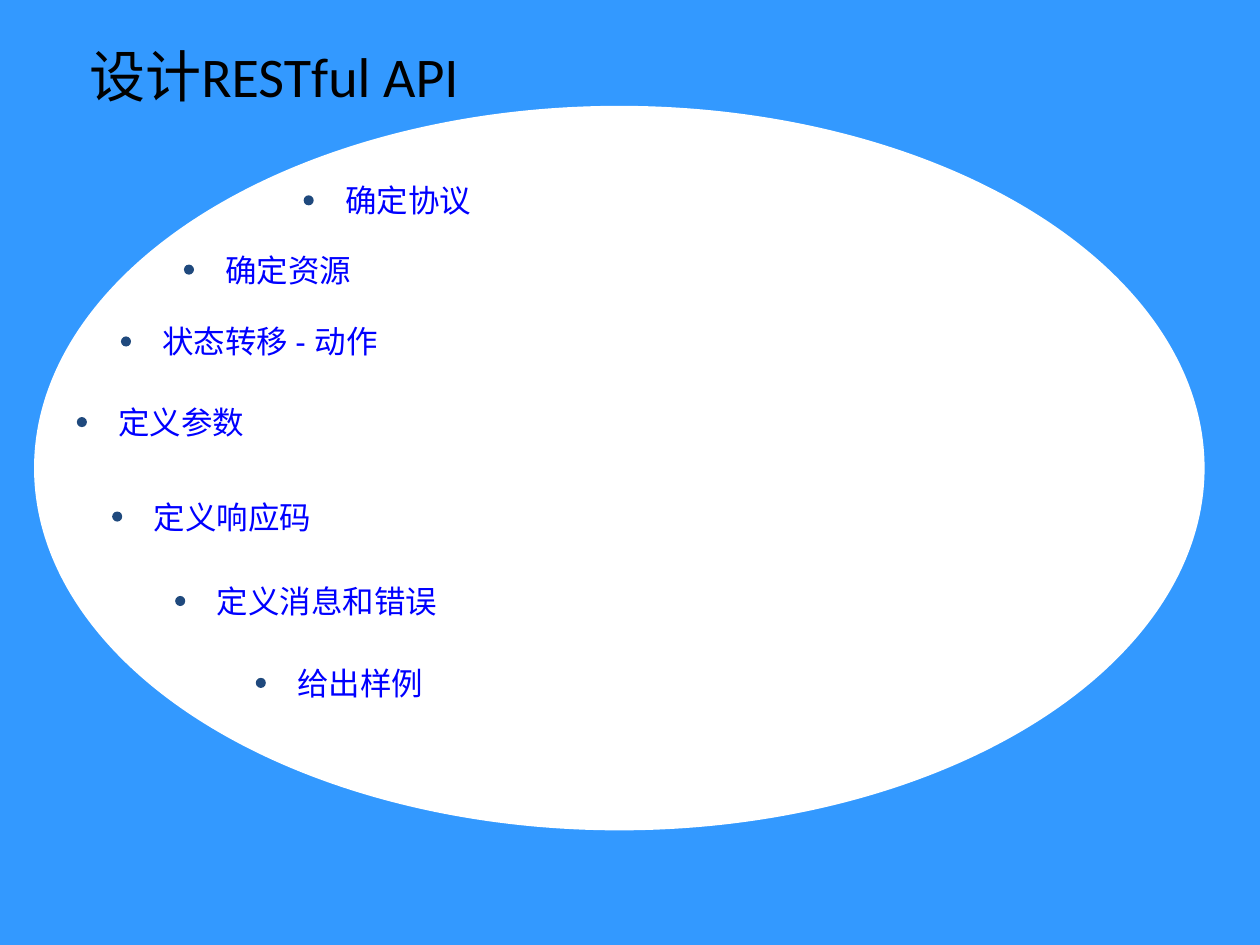
import pptx
import pptx.util
import pptx.dml.color
import pptx.enum.shapes
import pptx.enum.text

RGB = pptx.dml.color.RGBColor
Inches = pptx.util.Inches
BLUE_BACKGROUND = RGB(0x33, 0x99, 0xFF)
WHITE = RGB(0xFF, 0xFF, 0xFF)
BLACK = RGB(0x00, 0x00, 0x00)
NAVY = RGB(0x1F, 0x49, 0x7D)
LINK_BLUE = RGB(0x00, 0x00, 0xFF)

# Content: each step with the left and top of its label, along the oval's edge
TITLE = "设计RESTful API"
STEPS = [
    ("确定协议", 2.64, 1.39),
    ("确定资源", 1.69, 1.94),
    ("状态转移 - 动作", 1.19, 2.51),
    ("定义参数", 0.84, 3.15),
    ("定义响应码", 1.12, 3.90),
    ("定义消息和错误", 1.62, 4.57),
    ("给出样例", 2.26, 5.22),
]
STEP_SIZE = 18
LABEL_HEIGHT = 0.4
LABEL_MARGINS = 0.2
DOT = 0.08
DOT_OFFSET = 0.23  # from dot's left to label's left


def add_oval(slide, left, top, width, height, color):
    oval = slide.shapes.add_shape(
        pptx.enum.shapes.MSO_SHAPE.OVAL,
        Inches(left), Inches(top), Inches(width), Inches(height))
    oval.shadow.inherit = False
    oval.fill.solid()
    oval.fill.fore_color.rgb = color
    oval.line.fill.background()
    return oval


def format_text(frame, font_name, size, color):
    font = frame.paragraphs[0].runs[0].font
    font.name = font_name
    font.size = pptx.util.Pt(size)
    font.color.rgb = color


def add_step(slide, step, left, top):
    add_oval(slide, left - DOT_OFFSET, top + (LABEL_HEIGHT - DOT) / 2,
             DOT, DOT, NAVY)
    # One em per Chinese character; the spaced label wraps to a second line
    spaced = " " in step
    width = 1.92 if spaced else len(step) * STEP_SIZE / 72 + LABEL_MARGINS
    label = slide.shapes.add_textbox(
        Inches(left), Inches(top), Inches(width), Inches(LABEL_HEIGHT))
    frame = label.text_frame
    frame.word_wrap = spaced
    frame.auto_size = pptx.enum.text.MSO_AUTO_SIZE.SHAPE_TO_FIT_TEXT
    frame.text = step
    format_text(frame, "Arial", STEP_SIZE, LINK_BLUE)


def main():
    deck = pptx.Presentation()
    deck.slide_width, deck.slide_height = Inches(10), Inches(7.5)
    slide = deck.slides.add_slide(deck.slide_layouts[5])
    slide.background.fill.solid()
    slide.background.fill.fore_color.rgb = BLUE_BACKGROUND

    # White oval, sent behind the title
    title = slide.shapes.title
    backdrop = add_oval(slide, 0.27, 0.84, 9.29, 5.75, WHITE)
    title.element.addprevious(backdrop.element)

    # Title
    title.left, title.top = Inches(0.51), Inches(0.28)
    title.width, title.height = Inches(3.33), Inches(0.63)
    title.text_frame.text = TITLE
    title.text_frame.vertical_anchor = pptx.enum.text.MSO_ANCHOR.MIDDLE
    title.text_frame.paragraphs[0].alignment = pptx.enum.text.PP_ALIGN.CENTER
    format_text(title.text_frame, "Calibri", 32, BLACK)

    # Steps
    for step, left, top in STEPS:
        add_step(slide, step, left, top)

    deck.save("out.pptx")


if __name__ == "__main__":
    main()
